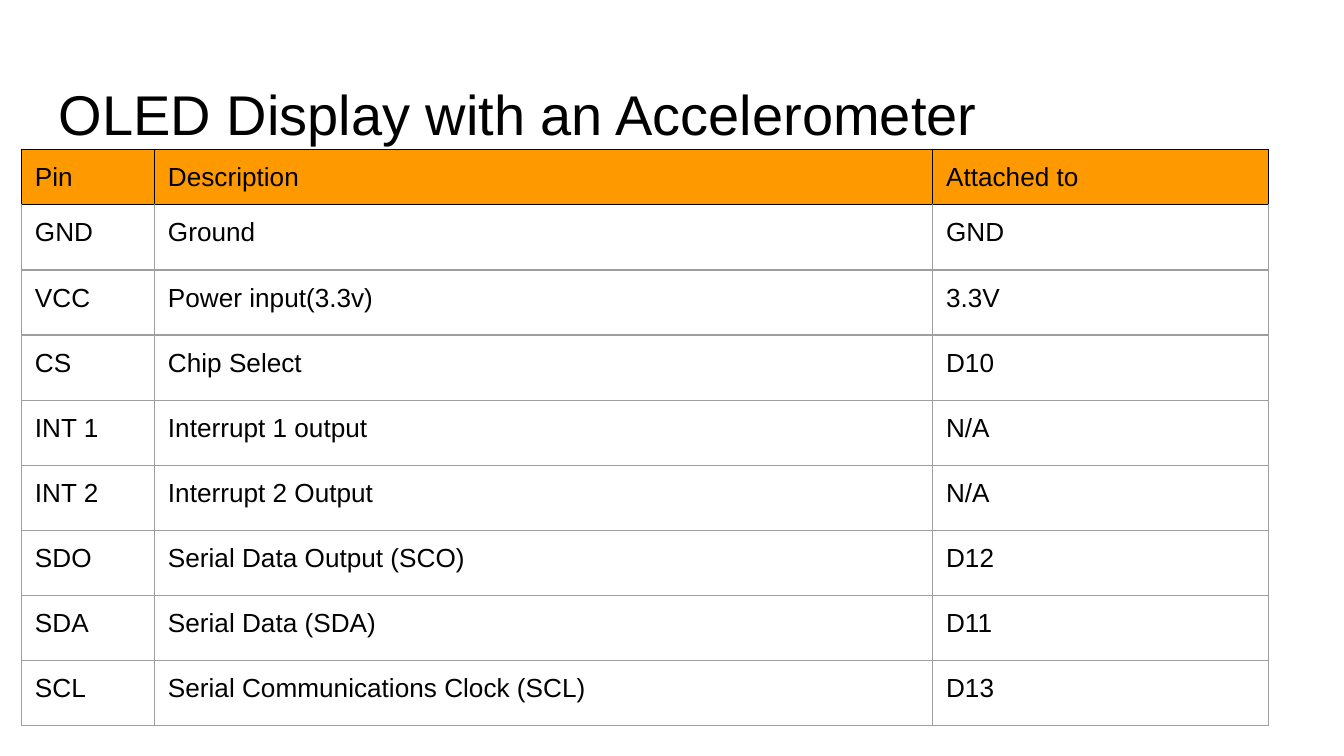
from lxml import etree
from pptx import Presentation
from pptx.dml.color import RGBColor
from pptx.enum import text
from pptx.oxml import ns
from pptx.util import Inches, Pt

TITLE = "OLED Display with an Accelerometer"
PINS = [
    ("Pin", "Description", "Attached to"),
    ("GND", "Ground", "GND"),
    ("VCC", "Power input(3.3v)", "3.3V"),
    ("CS", "Chip Select", "D10"),
    ("INT 1", "Interrupt 1 output", "N/A"),
    ("INT 2", "Interrupt 2 Output", "N/A"),
    ("SDO", "Serial Data Output (SCO)", "D12"),
    ("SDA", "Serial Data (SDA)", "D11"),
    ("SCL", "Serial Communications Clock (SCL)", "D13"),
]
COLUMN_WIDTHS = (0.99, 5.79, 2.5)
HEADER_HEIGHT, BODY_HEIGHT = 0.37, 3.88
BLACK, GREY, ORANGE = "000000", "9E9E9E", "FF9900"


def color(value):
    return RGBColor.from_string(value)


def style(frame, size):
    for para in frame.paragraphs:
        for span in para.runs:
            span.font.name = "Arial"
            span.font.size = Pt(size)
            span.font.bold = False
            span.font.color.rgb = color(BLACK)


def add_borders(cell, side_colors):
    properties = cell._tc.get_or_add_tcPr()
    for index, (side, value) in enumerate(side_colors.items()):
        line = etree.Element(ns.qn(f"a:ln{side}"), w=str(Pt(0.75)))
        fill = etree.SubElement(line, ns.qn("a:solidFill"))
        etree.SubElement(fill, ns.qn("a:srgbClr"), val=value)
        properties.insert(index, line)


deck = Presentation()
deck.slide_width, deck.slide_height = Inches(10), Inches(10 * 9 / 16)
page = deck.slides.add_slide(deck.slide_layouts[6])

box = page.shapes.add_textbox(Inches(0.34), Inches(0.49), Inches(9.32), Inches(0.63))
frame = box.text_frame
frame.word_wrap = True
frame.vertical_anchor = text.MSO_ANCHOR.TOP
frame.margin_left = frame.margin_right = Inches(0.1)
frame.margin_top = frame.margin_bottom = Inches(0.1)
frame.text = TITLE
style(frame, 30)

table = page.shapes.add_table(
    len(PINS), len(COLUMN_WIDTHS), Inches(0.16), Inches(1.11),
    Inches(sum(COLUMN_WIDTHS)), Inches(HEADER_HEIGHT + BODY_HEIGHT),
).table
table.horz_banding = False
for column, width in zip(table.columns, COLUMN_WIDTHS):
    column.width = Inches(width)

for row_index, values in enumerate(PINS):
    header = row_index == 0
    height = HEADER_HEIGHT if header else BODY_HEIGHT / (len(PINS) - 1)
    table.rows[row_index].height = Inches(height)
    edge = BLACK if header else GREY
    top = BLACK if row_index <= 1 else GREY
    for column_index, value in enumerate(values):
        cell = table.cell(row_index, column_index)
        cell.margin_left = cell.margin_right = cell.margin_top = Inches(0.1)
        cell.margin_bottom = Inches(0.08 if header else 0.1)
        cell.text_frame.text = value
        style(cell.text_frame, 14)
        if header:
            cell.fill.solid()
            cell.fill.fore_color.rgb = color(ORANGE)
        else:
            cell.fill.background()
        add_borders(cell, {"L": edge, "R": edge, "T": top, "B": edge})

deck.save("out.pptx")
